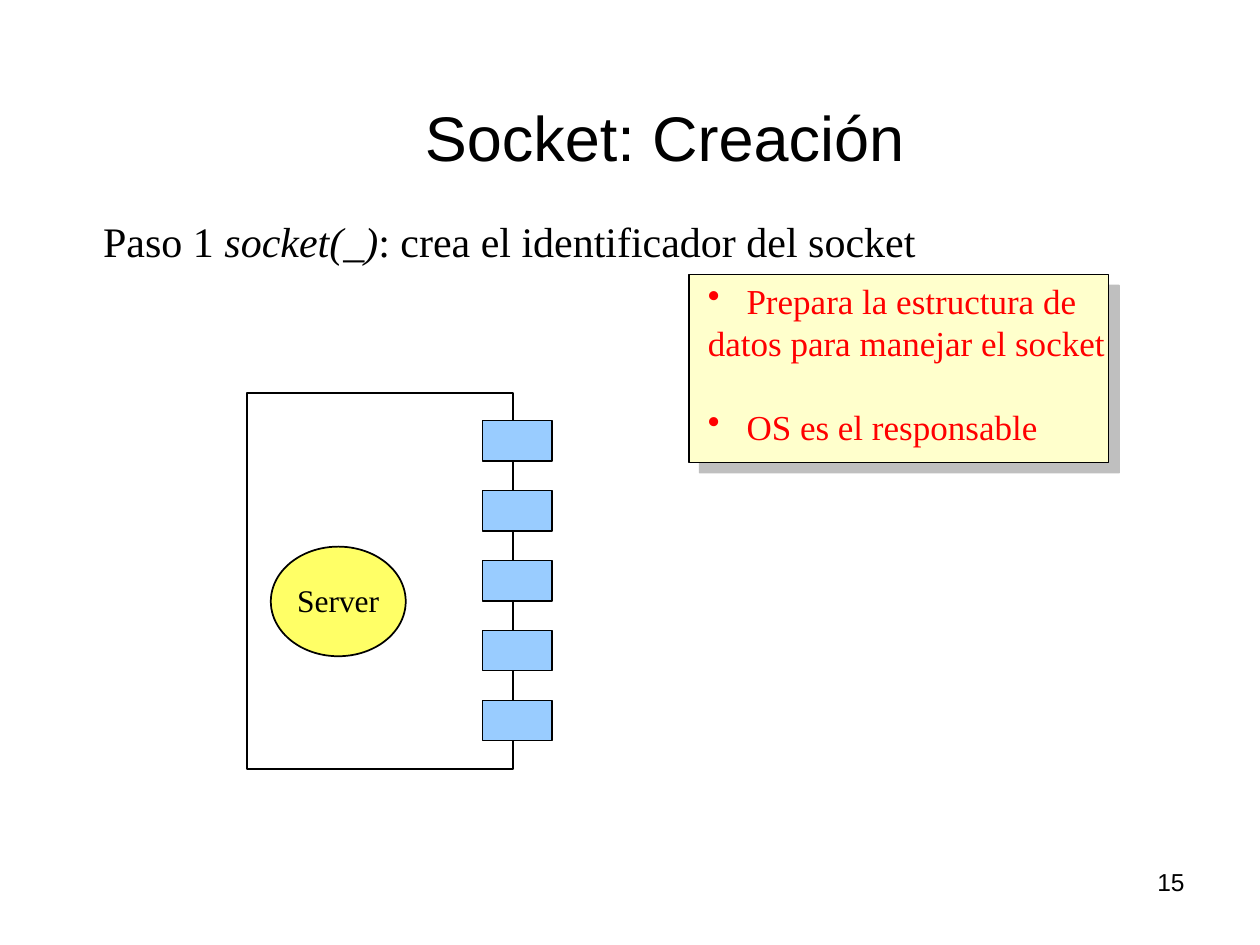
from lxml.etree import SubElement
from pptx import Presentation
from pptx.dml.color import RGBColor
from pptx.enum.shapes import MSO_SHAPE as Shape
from pptx.enum.text import MSO_ANCHOR as Anchor, PP_ALIGN as Align
from pptx.oxml.ns import qn
from pptx.util import Cm, Pt

BLACK = RGBColor(0x00, 0x00, 0x00)
WHITE = RGBColor(0xFF, 0xFF, 0xFF)
RED = RGBColor(0xFF, 0x00, 0x00)
YELLOW = RGBColor(0xFF, 0xFF, 0x66)
CREAM = RGBColor(0xFF, 0xFF, 0xCC)
BLUE = RGBColor(0x99, 0xCC, 0xFF)
SANS, SERIF = "Arial", "Times New Roman"

TITLE = "Socket: Creación"
PAGE_NUMBER = "15"
STEP = [("Paso 1 ", False), ("socket(_)", True),
        (": crea el identificador del socket", False)]
# (text, has bullet, space before in points)
NOTES = [("Prepara la estructura de", True, 0),
         ("datos para manejar el socket", False, 0),
         ("OS es el responsable", True, 24)]

# Boxes are left, top, width, height in centimetres
HOST = (4.98, 7.92, 5.36, 7.59)
SERVER = (5.46, 11.02, 2.72, 2.21)
FIRST_PORT = (9.73, 8.48, 1.4, 0.81)
PORT_COUNT, PORT_STEP = 5, 1.41
NOTE_BOX = (13.89, 5.54, 8.46, 3.78)
BULLET_INDENT = Cm(0.78)


def add_outlined(shapes, kind, box, fill, width=1):
    shape = shapes.add_shape(kind, *map(Cm, box))
    shape.shadow.inherit = False
    shape.fill.solid()
    shape.fill.fore_color.rgb = fill
    shape.line.color.rgb = BLACK
    shape.line.width = Pt(width)
    return shape


def add_text(shapes, box, wrap=True, anchor=Anchor.TOP):
    frame = shapes.add_textbox(*map(Cm, box)).text_frame
    frame.word_wrap = wrap
    frame.vertical_anchor = anchor
    return frame


def style(paragraph, font_name, size, color=BLACK, align=Align.LEFT):
    paragraph.alignment = align
    paragraph.font.name = font_name
    paragraph.font.size = Pt(size)
    paragraph.font.color.rgb = color


def add_shadow(shape):
    """Cast a half-transparent grey shadow down to the right."""
    effects = shape._element.spPr.find(qn("a:effectLst"))
    shadow = SubElement(effects, qn("a:outerShdw"), dist=str(Pt(8.5)),
                        dir="2700000", algn="ctr", rotWithShape="0")
    color = SubElement(shadow, qn("a:srgbClr"), val="808080")
    SubElement(color, qn("a:alpha"), val="50000")


def add_bullet(paragraph):
    properties = paragraph._p.get_or_add_pPr()
    properties.set("marL", str(BULLET_INDENT))
    properties.set("indent", str(-BULLET_INDENT))
    # Schema order puts the bullet before the default run properties
    default_run = properties.find(qn("a:defRPr"))
    bullet = SubElement(properties, qn("a:buChar"), char="•")
    if default_run is not None:
        default_run.addprevious(bullet)


def draw_host(slide):
    shapes = slide.shapes.add_group_shape().shapes
    add_outlined(shapes, Shape.RECTANGLE, HOST, WHITE)
    add_outlined(shapes, Shape.OVAL, SERVER, YELLOW)
    left, top, width, height = FIRST_PORT
    for index in range(PORT_COUNT):
        port = (left, top + index * PORT_STEP, width, height)
        add_outlined(shapes, Shape.RECTANGLE, port, BLUE)
    label = add_text(shapes, (5.74, 11.58, 2.16, 1.02), wrap=False).paragraphs[0]
    label.text = "Server"
    style(label, SERIF, 18)


def draw_notes(slide):
    shapes = slide.shapes.add_group_shape().shapes
    add_shadow(add_outlined(shapes, Shape.RECTANGLE, NOTE_BOX, CREAM, 0.75))
    frame = add_text(shapes, (14.02, 5.51, 8.51, 3.66), wrap=False)
    for index, (text, has_bullet, space) in enumerate(NOTES):
        paragraph = frame.add_paragraph() if index else frame.paragraphs[0]
        paragraph.text = text
        paragraph.line_spacing = Pt(24)
        paragraph.space_before = Pt(space)
        style(paragraph, SERIF, 20, RED)
        if has_bullet:
            add_bullet(paragraph)


def main():
    presentation = Presentation()
    presentation.slide_width, presentation.slide_height = Cm(25.4), Cm(19.05)
    slide = presentation.slides.add_slide(presentation.slide_layouts[6])

    draw_host(slide)

    step = add_text(slide.shapes, (1.83, 4.22, 16.89, 1.27), wrap=False).paragraphs[0]
    for text, italic in STEP:
        run = step.add_run()
        run.text = text
        run.font.italic = italic
    style(step, SERIF, 24)

    draw_notes(slide)

    title = add_text(slide.shapes, (2.06, 1.47, 22.68, 2.54),
                     anchor=Anchor.MIDDLE).paragraphs[0]
    title.text = TITLE
    style(title, SANS, 36, align=Align.CENTER)

    number = add_text(slide.shapes, (18.21, 17.35, 5.92, 1.32)).paragraphs[0]
    number.text = PAGE_NUMBER
    style(number, SANS, 14, align=Align.RIGHT)

    presentation.save("out.pptx")


if __name__ == "__main__":
    main()
